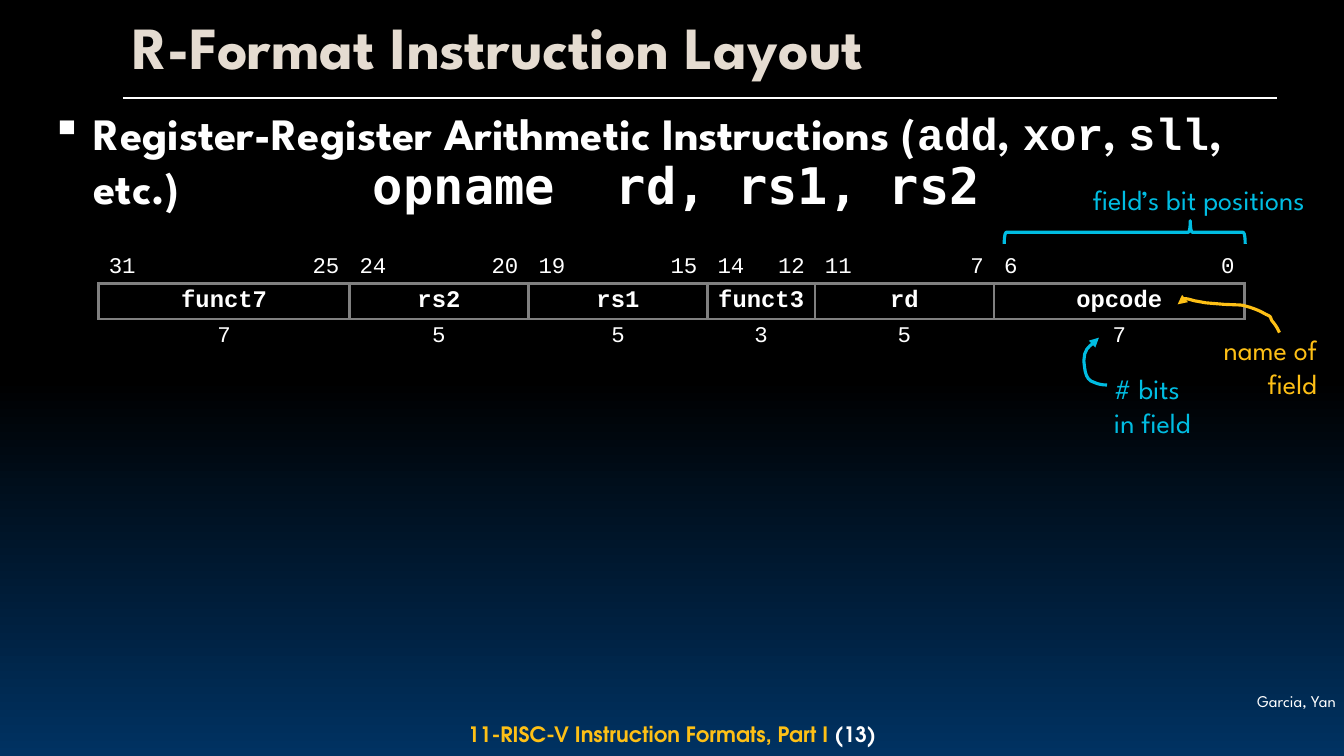
from dataclasses import dataclass

from lxml import etree
from pptx import Presentation
from pptx import util as u
from pptx.dml.color import RGBColor
from pptx.enum import shapes, text
from pptx.oxml.ns import qn

NO_STYLE = "{2D5ABB26-0587-4C30-8999-92F81FD0307C}"
LEFT, CENTER, RIGHT = text.PP_ALIGN.LEFT, text.PP_ALIGN.CENTER, text.PP_ALIGN.RIGHT
TOP, MIDDLE, BOTTOM = text.MSO_ANCHOR.TOP, text.MSO_ANCHOR.MIDDLE, text.MSO_ANCHOR.BOTTOM


@dataclass(frozen=True)
class Theme:
    white: str = "FFFFFF"
    black: str = "000000"
    navy: str = "003262"
    cream: str = "E5DCD1"
    gold: str = "FEC016"
    cyan: str = "00BDE2"
    gray: str = "808080"
    sans: str = "League Spartan"
    code: str = "Courier New"
    syntax: str = "DejaVu Sans Mono"
    footer: str = "TeX Gyre Adventor"
    title_size: float = 42.7
    syntax_size: float = 36
    body_size: float = 32
    note_size: float = 20
    name_size: float = 17
    bit_size: float = 16
    footer_size: float = 15.1
    credit_size: float = 11.7
    line: float = 2.25
    rule: float = 1.5


def color(value):
    return RGBColor.from_string(value)


def curve_points(points, steps=6):
    """Sample a chain of cubic Bezier curves that share their end points."""
    for first in range(0, len(points) - 1, 3):
        curve = points[first:first + 4]
        for step in range(1, steps + 1):
            t = step / steps
            weights = ((1 - t) ** 3, 3 * t * (1 - t) ** 2, 3 * t * t * (1 - t), t ** 3)
            yield tuple(sum(w * p[axis] for w, p in zip(weights, curve)) for axis in (0, 1))


class SlideBuilder:
    def __init__(self, deck, theme):
        self.theme = theme
        self.page = deck.slides.add_slide(deck.slide_layouts[5])

    def background(self):
        fill = self.page.background.fill
        fill.gradient()
        fill.gradient_angle = 270
        stops = ((0.5, self.theme.black), (1, self.theme.navy))
        for stop, (position, tint) in zip(fill.gradient_stops, stops):
            stop.position = position
            stop.color.rgb = color(tint)

    def add_spans(self, para, spans, size, align=LEFT, bold=False, spacing=None):
        """Fill a paragraph from (text, font, colour) spans."""
        para.alignment = align
        para.line_spacing = spacing
        for words, font, tint in spans:
            span = para.add_run()
            span.text = words
            span.font.name = font
            span.font.size = u.Pt(size)
            span.font.bold = bold
            span.font.color.rgb = color(tint)

    def title(self, words, left, top, width, height):
        box = self.page.shapes.title
        box.left, box.top, box.width, box.height = map(u.Inches, (left, top, width, height))
        box.text_frame.vertical_anchor = MIDDLE
        self.add_spans(box.text_frame.paragraphs[0], [(words, self.theme.sans, self.theme.cream)],
                       self.theme.title_size, bold=True, spacing=0.9)

    def label(self, spans, left, top, width, height, size, anchor=TOP, **style):
        box = self.page.shapes.add_textbox(*map(u.Inches, (left, top, width, height)))
        box.text_frame.word_wrap = True
        box.text_frame.vertical_anchor = anchor
        self.add_spans(box.text_frame.paragraphs[0], spans, size, **style)
        return box

    def bullet(self, para, margin, indent):
        props = para._p.get_or_add_pPr()
        props.set("marL", str(u.Inches(margin)))
        props.set("indent", str(u.Inches(indent)))
        etree.SubElement(props, qn("a:buSzPct"), val="95000")
        etree.SubElement(props, qn("a:buChar"), char="▪")

    def rule(self, left, right, y):
        line = self.page.shapes.add_connector(
            shapes.MSO_CONNECTOR.STRAIGHT, *map(u.Inches, (left, y, right, y)))
        line.line.color.rgb = color(self.theme.white)
        line.line.width = u.Pt(self.theme.rule)
        etree.SubElement(line._element.spPr, qn("a:effectLst"))

    def outline(self, shape, tint):
        shape.shadow.inherit = False
        shape.fill.background()
        shape.line.color.rgb = color(tint)
        shape.line.width = u.Pt(self.theme.line)

    def brace(self, left, top, width, height, tint):
        brace = self.page.shapes.add_shape(
            shapes.MSO_SHAPE.LEFT_BRACE, *map(u.Inches, (left, top, width, height)))
        brace.rotation = 90
        brace.adjustments[0], brace.adjustments[1] = 0.083, 0.228
        self.outline(brace, tint)

    def curved_arrow(self, points, tint):
        start = map(u.Inches, points[0])
        builder = self.page.shapes.build_freeform(*start, scale=1.0)
        builder.add_line_segments(
            [tuple(map(u.Inches, point)) for point in curve_points(points)], close=False)
        arrow = builder.convert_to_shape()
        self.outline(arrow, tint)
        etree.SubElement(arrow.line._get_or_add_ln(), qn("a:tailEnd"), type="triangle")

    def borders(self, cell, sides):
        """Draw the given sides (from L, R, T, B, in that order) of a cell."""
        props = cell._tc.get_or_add_tcPr()
        for place, side in enumerate(sides):
            line = etree.Element(qn(f"a:ln{side}"), w=str(u.Pt(self.theme.line)))
            fill = etree.SubElement(line, qn("a:solidFill"))
            etree.SubElement(fill, qn("a:srgbClr"), val=self.theme.gray)
            props.insert(place, line)

    def cell_text(self, cell, words, size, align, bold=False):
        self.add_spans(cell.text_frame.paragraphs[0],
                       [(words, self.theme.code, self.theme.white)], size, align, bold, 0.9)

    def bit_layout(self, fields, left, top, width, heights):
        """Draw fields of (name, bits), highest bit first, on columns scaled by bits."""
        bit = sum(bits for _, bits in fields)
        unit = width / bit
        spans = [[1.5, 1.5] if bits == 3 else [2] + [1] * (bits - 4) + [2] for _, bits in fields]
        columns = [units for span in spans for units in span]
        frame = self.page.shapes.add_table(
            3, len(columns), *map(u.Inches, (left, top, width, sum(heights))))
        table = frame.table
        table.first_row = table.horz_banding = False
        table._tbl.tblPr.find(qn("a:tableStyleId")).text = NO_STYLE
        for column, units in zip(table.columns, columns):
            column.width = u.Inches(units * unit)
        for row, height in zip(table.rows, heights):
            row.height = u.Inches(height)
        for cell in table.iter_cells():
            cell.fill.background()

        first = 0
        for (name, bits), span in zip(fields, spans):
            last = first + len(span) - 1
            for column in range(first, last + 1):
                head, middle, foot = (table.cell(row, column) for row in range(3))
                head.vertical_anchor = BOTTOM
                if first < column < last:
                    head.margin_top = head.margin_bottom = 0
                self.borders(head, "B")
                self.borders(middle, "LRTB" if column == first else
                             "RTB" if column == last else "TB")
                self.borders(foot, "T")
            size = self.theme.bit_size
            self.cell_text(table.cell(0, first), str(bit - 1), size, LEFT)
            self.cell_text(table.cell(0, last), str(bit - bits), size, RIGHT)
            for row in (1, 2):
                table.cell(row, first).merge(table.cell(row, last))
            self.cell_text(table.cell(1, first), name, self.theme.name_size, CENTER, True)
            self.cell_text(table.cell(2, first), str(bits), size, CENTER)
            bit -= bits
            first = last + 1


def main():
    deck = Presentation()
    deck.slide_width, deck.slide_height = u.Inches(13.33), u.Inches(7.5)
    theme = Theme()
    slide = SlideBuilder(deck, theme)
    sans, code, white = theme.sans, theme.code, theme.white

    slide.background()
    credit = slide.label([("Garcia, Yan", sans, white)], 11.89, 6.83, 1.44, 0.26,
                         theme.credit_size, align=RIGHT).text_frame
    credit.margin_left = credit.margin_right = u.Inches(0.08)
    credit.margin_top = credit.margin_bottom = u.Inches(0.03)
    slide.label([("11-RISC-V Instruction Formats, Part I ", theme.footer, theme.gold),
                 ("(13)", theme.footer, white)], 2.45, 7.12, 8.43, 0.32,
                theme.footer_size, MIDDLE, align=CENTER, bold=True)
    slide.rule(1.22, 12.67, 0.97)
    slide.title("R-Format Instruction Layout", 1.21, 0.08, 11.49, 0.84)

    fields = [("funct7", 7), ("rs2", 5), ("rs1", 5), ("funct3", 3), ("rd", 5), ("opcode", 7)]
    slide.bit_layout(fields, 0.98, 2.44, 11.37, (0.37, 0.33, 0.35))

    for words, tint, align, *place in (
            ("name of field", theme.gold, RIGHT, 11.96, 3.25, 1.2, 0.77),
            ("# bits in field", theme.cyan, LEFT, 10.95, 3.64, 1.01, 0.77),
            ("field’s bit positions", theme.cyan, LEFT, 10.74, 1.76, 2.39, 0.44)):
        slide.label([(words, sans, tint)], *place, theme.note_size, align=align)
    slide.curved_arrow([(10.98, 3.82), (10.9, 3.82), (10.87, 3.8), (10.82, 3.78),
                        (10.76, 3.74), (10.76, 3.66), (10.75, 3.58),
                        (10.75, 3.42), (10.86, 3.42), (10.9, 3.35)], theme.cyan)
    slide.curved_arrow([(12.69, 3.3), (12.68, 3.28), (12.67, 3.25), (12.63, 3.2),
                        (12.59, 3.16), (12.62, 3.15), (12.58, 3.13),
                        (12.53, 3.11), (12.52, 3.09), (12.4, 3.05),
                        (12.29, 3.02), (12.36, 3.03), (12.14, 3.02),
                        (11.69, 3), (11.8, 2.9), (11.68, 3.02)], theme.gold)

    slide.label([("opname  rd, rs1, rs2", theme.syntax, white)], 3.18, 1.48, 7.06, 0.71,
                theme.syntax_size, align=CENTER, bold=True)
    heading = [("Register-Register Arithmetic Instructions (", sans), ("add", code), (", ", sans),
               ("xor", code), (", ", sans), ("sll", code), (", etc.)", sans)]
    body = slide.label([(words, font, white) for words, font in heading],
                       0.32, 1, 12.84, 0.68, theme.body_size, bold=True)
    slide.bullet(body.text_frame.paragraphs[0], 0.51, -0.42)
    slide.brace(11.04, 1.11, 0.23, 2.39, theme.cyan)
    deck.save("out.pptx")


if __name__ == "__main__":
    main()
